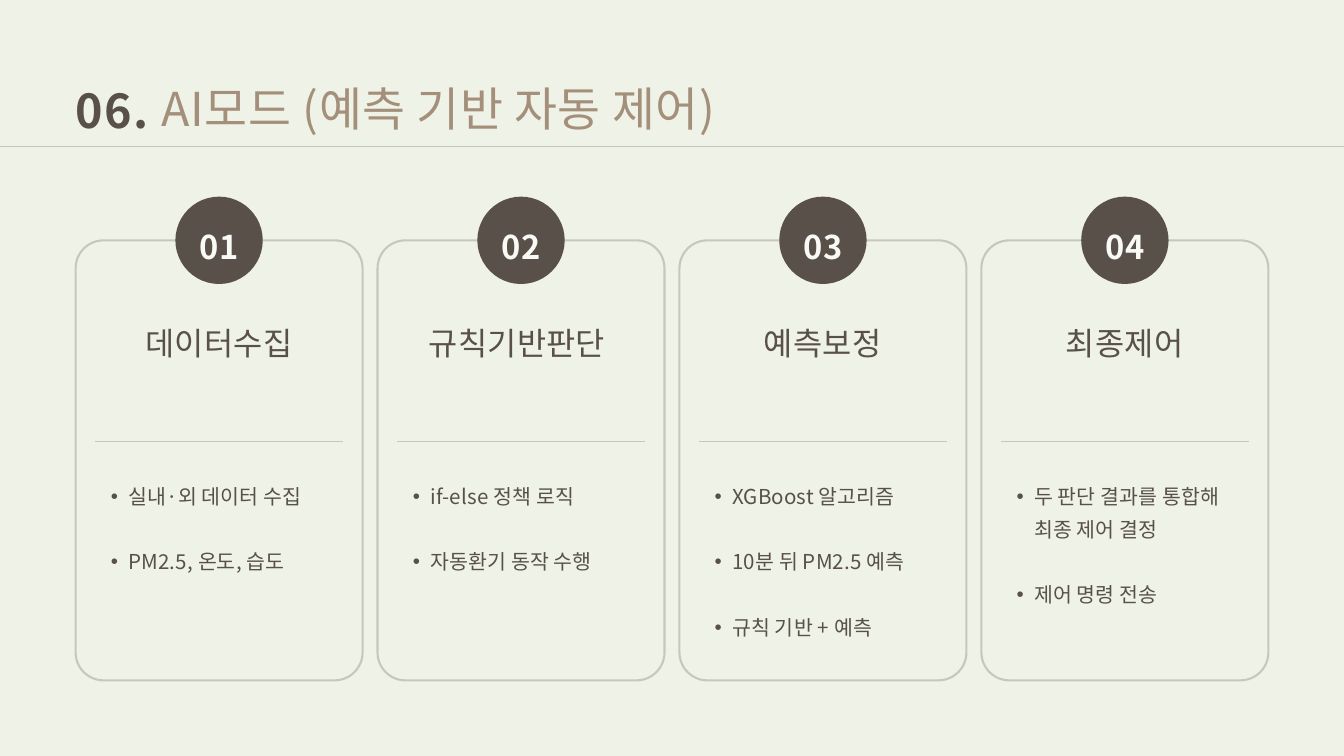
from lxml import etree
from pptx import Presentation
from pptx.dml.color import RGBColor
from pptx.enum import shapes, text
from pptx.oxml.ns import qn
from pptx.util import Pt

FONT = "Noto Sans CJK KR"
BACKGROUND = RGBColor(0xEF, 0xF2, 0xE7)
RULE = RGBColor(0xC6, 0xC8, 0xB9)
DARK = RGBColor(0x58, 0x50, 0x49)
TAN = RGBColor(0xA4, 0x8F, 0x7B)
LIGHT = RGBColor(0xF9, 0xFA, 0xF5)

NUMBER, TITLE = "06.", "AI모드 (예측 기반 자동 제어)"
STEPS = [
    ("데이터수집", ["실내·외 데이터 수집", "PM2.5, 온도, 습도"]),
    ("규칙기반판단 ", ["if-else 정책 로직", "자동환기 동작 수행"]),
    ("예측보정", ["XGBoost 알고리즘", "10분 뒤 PM2.5 예측", "규칙 기반 + 예측"]),
    ("최종제어", ["두 판단 결과를 통합해 최종 제어 결정", "제어 명령 전송"]),
]

SLIDE_WIDTH, SLIDE_HEIGHT = 1440, 810
CARD_LEFT, CARD_TOP, CARD_WIDTH, CARD_HEIGHT = 81, 257.5, 307.5, 471.5
CARD_PITCH = 323.5
CORNER_RADIUS = 30
CIRCLE_SIZE = 93.6
BULLET_LINE = 35


def add_text(slide, box, lines, size, line_height, color,
             spacing, bold=False, centred=False, bulleted=False):
    """Add a text box without insets; spacing is the letter spacing in points."""
    frame = slide.shapes.add_textbox(*map(Pt, box)).text_frame
    frame.margin_left = frame.margin_right = 0
    frame.margin_top = frame.margin_bottom = 0
    frame.word_wrap = True
    frame.text = "\n".join(lines)
    for index, paragraph in enumerate(frame.paragraphs):
        paragraph.line_spacing = Pt(line_height)
        if centred:
            paragraph.alignment = text.PP_ALIGN.CENTER
        if bulleted:
            if index:
                paragraph.space_before = Pt(line_height)
            add_bullet(paragraph)
        for run in paragraph.runs:
            run.font.name = FONT
            run.font.size = Pt(size)
            run.font.bold = bold
            run.font.color.rgb = color
            properties = run._r.get_or_add_rPr()
            properties.set("spc", str(round(spacing * 100)))
            etree.SubElement(properties, qn("a:ea"), typeface=FONT)


def add_bullet(paragraph):
    paragraph.level = 1
    properties = paragraph._p.get_or_add_pPr()
    properties.set("marL", str(Pt(37.5)))
    properties.set("indent", str(Pt(-18.75)))
    etree.SubElement(properties, qn("a:buFont"), typeface="Arial")
    etree.SubElement(properties, qn("a:buChar"), char="•")


def add_rule(slide, left, right, y):
    line = slide.shapes.add_connector(
        shapes.MSO_CONNECTOR.STRAIGHT, Pt(left), Pt(y), Pt(right), Pt(y))
    line.line.color.rgb = RULE
    line.line.width = Pt(1.5)
    etree.SubElement(line._element.spPr, qn("a:effectLst"))


def add_step(slide, index, heading, points):
    left = CARD_LEFT + index * CARD_PITCH
    center = left + CARD_WIDTH / 2

    card = slide.shapes.add_shape(
        shapes.MSO_SHAPE.ROUNDED_RECTANGLE,
        Pt(left), Pt(CARD_TOP), Pt(CARD_WIDTH), Pt(CARD_HEIGHT))
    card.adjustments[0] = CORNER_RADIUS / CARD_WIDTH
    card.shadow.inherit = False
    card.fill.background()
    card.line.color.rgb = RULE
    card.line.width = Pt(2.25)

    circle = slide.shapes.add_shape(
        shapes.MSO_SHAPE.OVAL,
        Pt(center - CIRCLE_SIZE / 2), Pt(CARD_TOP - CIRCLE_SIZE / 2),
        Pt(CIRCLE_SIZE), Pt(CIRCLE_SIZE))
    circle.shadow.inherit = False
    circle.fill.solid()
    circle.fill.fore_color.rgb = DARK
    circle.line.fill.background()

    add_text(slide, (center - 31.25, 215.5, 62.5, 62.5), [f"{index + 1:02}"],
             35, 70, LIGHT, 1.1, bold=True, centred=True)
    add_text(slide, (left + 22.5, 345, 262, 42), [heading],
             34, 42.5, DARK, 0.3, centred=True)
    add_rule(slide, left + 20.5, left + 287, 473)
    line_count = 2 * len(points) - 1
    add_text(slide, (left + 19, 510, 248, line_count * BULLET_LINE), points,
             22, BULLET_LINE, DARK, 0.2, bulleted=True)


def main():
    presentation = Presentation()
    presentation.slide_width = Pt(SLIDE_WIDTH)
    presentation.slide_height = Pt(SLIDE_HEIGHT)
    slide = presentation.slides.add_slide(presentation.slide_layouts[6])
    slide.background.fill.solid()
    slide.background.fill.fore_color.rgb = BACKGROUND

    add_rule(slide, 0, SLIDE_WIDTH, 157)
    add_text(slide, (81, 47.5, 93, 91), [NUMBER], 50, 100, DARK, 1.5, bold=True)
    add_text(slide, (173.5, 46, 1184, 91), [TITLE], 50, 100, TAN, 0.5)
    for index, (heading, points) in enumerate(STEPS):
        add_step(slide, index, heading, points)
    presentation.save("out.pptx")


if __name__ == "__main__":
    main()
